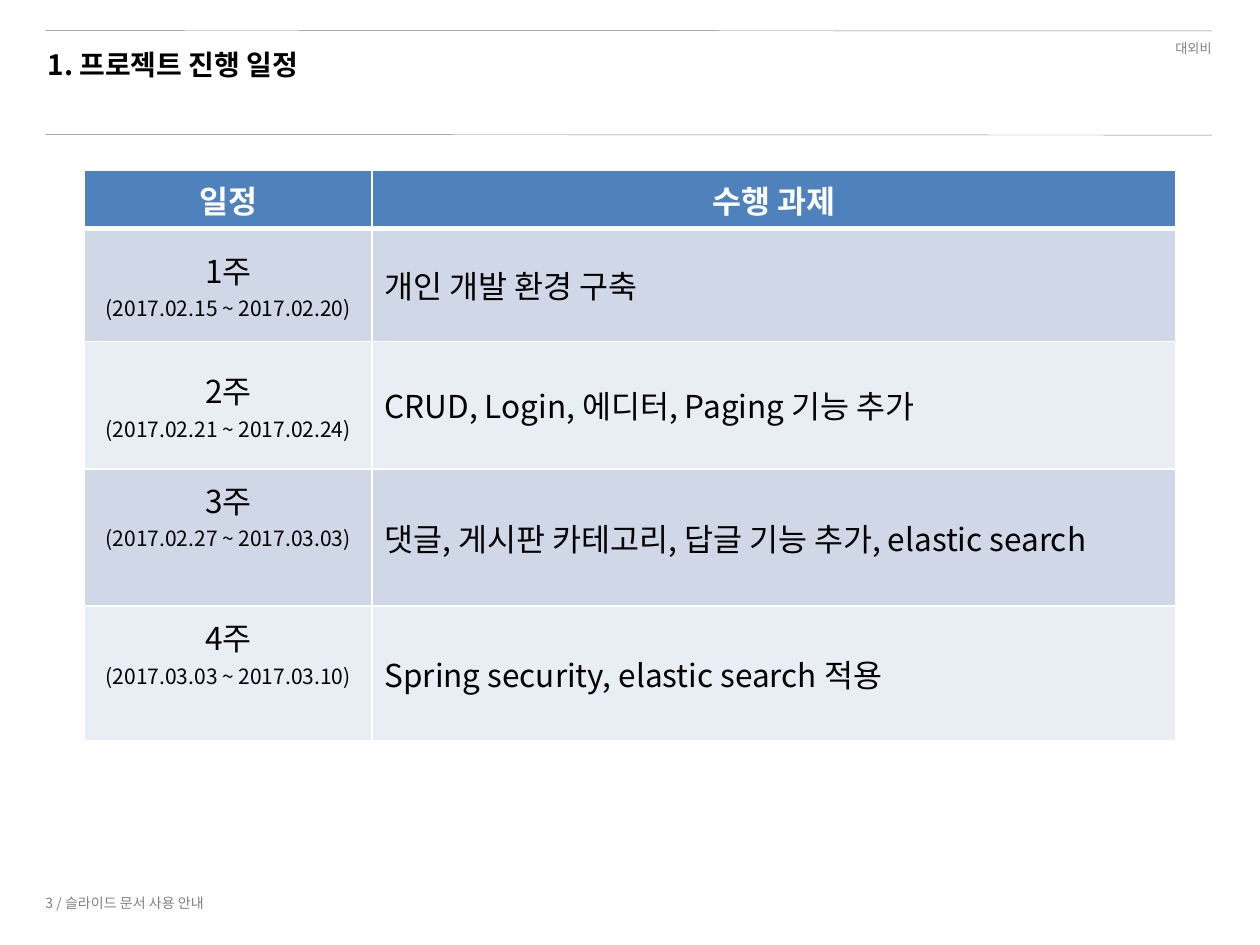
from dataclasses import dataclass

from lxml.etree import SubElement
from pptx import Presentation
from pptx.dml.color import RGBColor
from pptx.enum.shapes import MSO_CONNECTOR
from pptx.enum.text import MSO_ANCHOR, PP_ALIGN
from pptx.oxml.ns import qn
from pptx.util import Pt


@dataclass(frozen=True)
class Theme:
    font: str = "Noto Sans CJK KR"
    black: str = "000000"
    white: str = "FFFFFF"
    gray: str = "808080"
    header: str = "4F81BD"
    bands: tuple = ("D0D8E8", "E9EDF4")
    title_size: float = 16
    table_size: float = 18
    date_size: float = 12
    label_size: float = 7.5
    footer_size: float = 8


@dataclass(frozen=True)
class Label:
    text: str
    left: float
    top: float
    width: float
    height: float
    size: float
    color: str
    bold: bool = False
    align: PP_ALIGN = PP_ALIGN.LEFT
    anchor: MSO_ANCHOR = MSO_ANCHOR.TOP
    line_spacing: float = 1.0


@dataclass(frozen=True)
class Week:
    name: str
    dates: str
    task: str
    height: float
    bottom_margin: float = 3.6


THEME = Theme()
LABELS = [
    Label("대외비", 626, 16.2, 73.5, 19.5, THEME.label_size, THEME.gray,
          align=PP_ALIGN.RIGHT, line_spacing=1.4),
    Label("3 / 슬라이드 문서 사용 안내", 18.9, 506, 219, 19.5, THEME.footer_size,
          THEME.gray, anchor=MSO_ANCHOR.MIDDLE),
    Label("1. 프로젝트 진행 일정", 20.2, 23.8, 680, 26.6, THEME.title_size,
          THEME.black, bold=True),
]
WEEKS = [
    Week("1주", "(2017.02.15 ~ 2017.02.20)", "개인 개발 환경 구축", 64.8),
    Week("2주", "(2017.02.21 ~ 2017.02.24)", "CRUD, Login, 에디터, Paging 기능 추가", 72.7),
    Week("3주", "(2017.02.27 ~ 2017.03.03)",
         "댓글, 게시판 카테고리, 답글 기능 추가, elastic search", 78.5, 29.5),
    Week("4주", "(2017.03.03 ~ 2017.03.10)", "Spring security, elastic search 적용", 77, 28),
]
HEADINGS = ("일정", "수행 과제")
HEADER_HEIGHT = 33
COLUMN_WIDTHS = (164.2, 459.2)
RULES = ((17.4, 17.7), (76.9, 77.2))


def style_paragraph(para, size: float, color: str, bold: bool, align: PP_ALIGN) -> None:
    para.alignment = align
    for span in para.runs:
        font = span.font
        font.name, font.size, font.bold = THEME.font, Pt(size), bold
        font.color.rgb = RGBColor.from_string(color)
        properties = span._r.get_or_add_rPr()
        SubElement(properties, qn("a:ea")).set("typeface", THEME.font)


def add_label(page, label: Label) -> None:
    box = page.shapes.add_textbox(
        Pt(label.left), Pt(label.top), Pt(label.width), Pt(label.height))
    frame = box.text_frame
    frame.word_wrap = True
    frame.vertical_anchor = label.anchor
    frame.text = label.text
    para = frame.paragraphs[0]
    para.line_spacing = label.line_spacing
    style_paragraph(para, label.size, label.color, label.bold, label.align)


def add_rule(page, start: float, end: float) -> None:
    rule = page.shapes.add_connector(
        MSO_CONNECTOR.STRAIGHT, Pt(26), Pt(start), Pt(692.5), Pt(end))
    rule.line.color.rgb = RGBColor.from_string(THEME.gray)
    rule.line.width = Pt(0.25)
    SubElement(rule._element.spPr, qn("a:effectLst"))


def set_borders(cell, top: float, bottom: float) -> None:
    properties = cell._tc.get_or_add_tcPr()
    widths = {"lnL": 1, "lnR": 1, "lnT": top, "lnB": bottom}
    for side, width in widths.items():
        border = SubElement(properties, qn(f"a:{side}"))
        border.set("w", str(int(Pt(width))))
        fill = SubElement(border, qn("a:solidFill"))
        SubElement(fill, qn("a:srgbClr")).set("val", THEME.white)


def fill_cell(cell, lines: list, fill: str, color: str, bold: bool, align: PP_ALIGN,
              top: float = 1, bottom: float = 1) -> None:
    set_borders(cell, top, bottom)
    cell.fill.solid()
    cell.fill.fore_color.rgb = RGBColor.from_string(fill)
    cell.vertical_anchor = MSO_ANCHOR.MIDDLE
    cell.text_frame.text = "\n".join(lines)
    sizes = (THEME.table_size, THEME.date_size)
    for para, size in zip(cell.text_frame.paragraphs, sizes):
        style_paragraph(para, size, color, bold, align)


def add_schedule(page) -> None:
    heights = [HEADER_HEIGHT] + [week.height for week in WEEKS]
    table = page.shapes.add_table(
        len(heights), len(HEADINGS), Pt(48.4), Pt(97.4),
        Pt(sum(COLUMN_WIDTHS)), Pt(sum(heights))).table
    for column, width in zip(table.columns, COLUMN_WIDTHS):
        column.width = Pt(width)
    for row, height in zip(table.rows, heights):
        row.height = Pt(height)
    for index, heading in enumerate(HEADINGS):
        fill_cell(table.cell(0, index), [heading], THEME.header, THEME.white, True,
                  PP_ALIGN.CENTER, bottom=3)
    for index, week in enumerate(WEEKS):
        band = THEME.bands[index % 2]
        top = 1 if index else 3
        period, task = table.cell(index + 1, 0), table.cell(index + 1, 1)
        fill_cell(period, [week.name, week.dates], band, THEME.black, False,
                  PP_ALIGN.CENTER, top)
        period.margin_bottom = Pt(week.bottom_margin)
        fill_cell(task, [week.task], band, THEME.black, False, PP_ALIGN.LEFT, top)


def main() -> None:
    deck = Presentation()
    deck.slide_width, deck.slide_height = Pt(720), Pt(540)
    page = deck.slides.add_slide(deck.slide_layouts[6])
    for start, end in RULES:
        add_rule(page, start, end)
    for label in LABELS:
        add_label(page, label)
    add_schedule(page)
    deck.save("out.pptx")


main()
